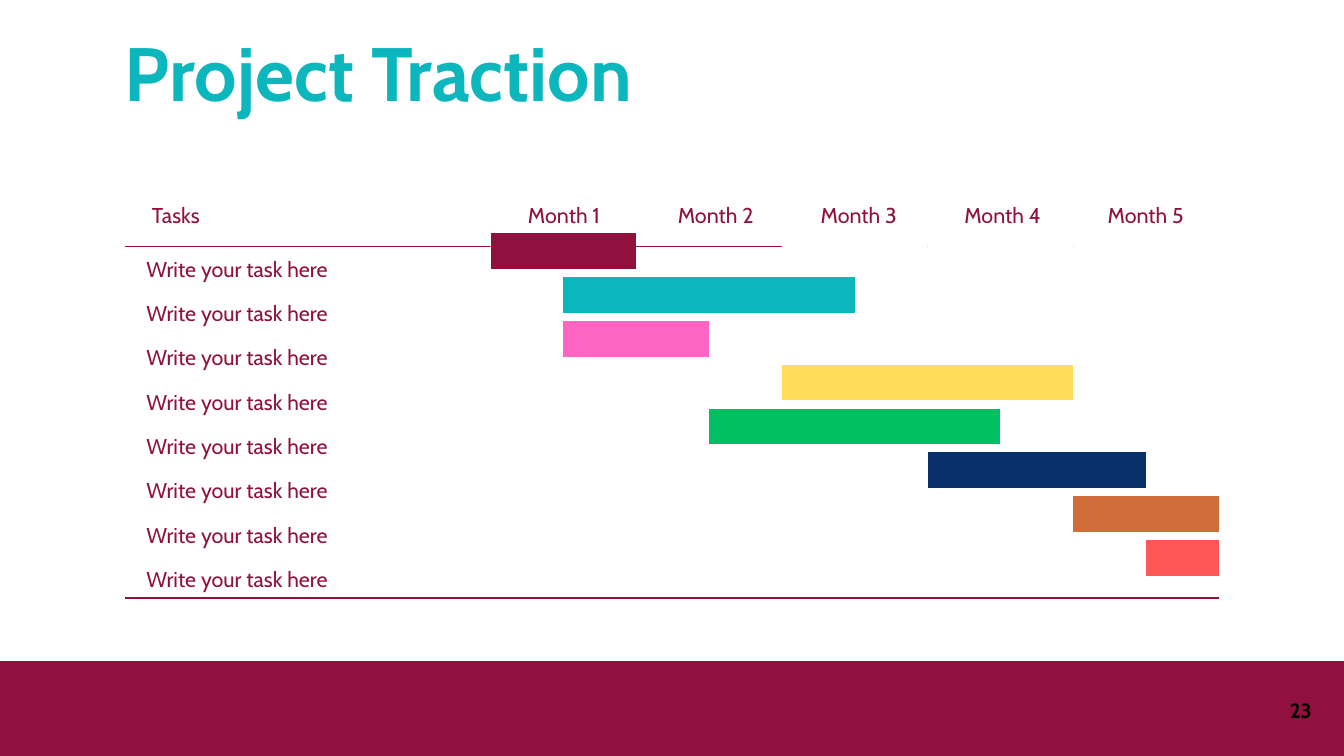
from dataclasses import dataclass

from lxml import etree
from pptx import Presentation
from pptx.dml.color import RGBColor
from pptx.enum import shapes, text
from pptx.oxml import ns
from pptx.util import Pt


@dataclass(frozen=True)
class Theme:
    """Colours, font and type sizes of the slide."""
    font: str = "Cabin"
    wine: str = "90113E"
    teal: str = "0BB6BC"
    white: str = "FFFFFF"
    black: str = "000000"
    title_size: float = 81
    label_size: float = 23
    number_size: float = 22
    label_leading: float = 32.2
    rule_width: float = 1.5
    bar_width: float = 38.25


THEME = Theme()
MONTHS = [("Month 1", 604.4), ("Month 2", 766.8), ("Month 3", 920.2),
          ("Month 4", 1074.2), ("Month 5", 1227.6)]
BLANK_MONTHS = (0, 2, 3, 4)
TASKS = [
    ("Write your task here", 0, 2, THEME.wine),
    ("Write your task here", 1, 5, THEME.teal),
    ("Write your task here", 1, 3, "FF66C4"),
    ("Write your task here", 4, 8, "FFDE59"),
    ("Write your task here", 3, 7, "00BF63"),
    ("Write your task here", 6, 9, "083169"),
    ("Write your task here", 8, 10, "CF6E38"),
    ("Write your task here", 9, 10, "FF5757"),
]


def apply(target, **values):
    """Set each named value on the target."""
    for name, value in values.items():
        setattr(target, name, value)


def place(part, box):
    """Move and size a part to a box given in points."""
    apply(part, **dict(zip(("left", "top", "width", "height"), map(Pt, box))))


def write(part, lines, size, leading, color=THEME.wine, bold=False,
          align=text.PP_ALIGN.LEFT, gap=0):
    """Fill a part with formatted paragraphs."""
    frame = part.text_frame
    apply(frame, text="\n".join(lines), word_wrap=True,
          auto_size=text.MSO_AUTO_SIZE.NONE,
          vertical_anchor=text.MSO_ANCHOR.TOP,
          margin_left=0, margin_top=0, margin_right=0, margin_bottom=0)
    for paragraph in frame.paragraphs:
        apply(paragraph, alignment=align, line_spacing=Pt(leading),
              space_before=Pt(0), space_after=Pt(gap))
        for run in paragraph.runs:
            apply(run.font, name=THEME.font, size=Pt(size), bold=bold)
            run.font.color.rgb = RGBColor.from_string(color)


def add_label(slide, box, words, size=THEME.label_size,
              leading=THEME.label_leading, **format_values):
    """Add a one-line text box."""
    label = slide.shapes.add_textbox(*map(Pt, box))
    write(label, [words], size, leading, **format_values)


def add_block(slide, box, color):
    """Add a plain filled rectangle."""
    block = slide.shapes.add_shape(shapes.MSO_SHAPE.RECTANGLE, *map(Pt, box))
    block.shadow.inherit = False
    block.fill.solid()
    block.fill.fore_color.rgb = RGBColor.from_string(color)
    block.line.fill.background()


def add_stroke(slide, start, end, y, color, width):
    """Add a horizontal line without a shadow."""
    stroke = slide.shapes.add_connector(
        shapes.MSO_CONNECTOR.STRAIGHT, *map(Pt, (start, y, end, y)))
    stroke.line.width = Pt(width)
    stroke.line.color.rgb = RGBColor.from_string(color)
    etree.SubElement(stroke._element.spPr, ns.qn("a:effectLst"))


def add_title(slide, box):
    """Place the slide title."""
    title = slide.shapes.title
    place(title, box)
    write(title, ["Project Traction"], THEME.title_size, 97.2,
          color=THEME.teal, bold=True)


def add_header(slide, box, month_left, month_width):
    """Place the column headings above the bars."""
    left, top, width, height = box
    for month in BLANK_MONTHS:
        add_block(slide, (month_left + month * month_width, top,
                          month_width, height), THEME.white)
    add_label(slide, (left + 28.8, top + 18, 344, 31), "Tasks")
    for month, center in MONTHS:
        add_label(slide, (center - 52, top + 18, 104, 31), month,
                  align=text.PP_ALIGN.CENTER)


def add_task_list(slide, box):
    """Place the task names in the body placeholder at an even pitch."""
    task_list = slide.placeholders[1]
    place(task_list, box)
    pitch = box[3] / len(TASKS)
    write(task_list, [task[0] for task in TASKS], THEME.label_size,
          THEME.label_leading, gap=pitch - THEME.label_leading)
    for paragraph in task_list.text_frame.paragraphs:
        properties = paragraph._p.get_or_add_pPr()
        properties.set("marL", "0")
        properties.set("indent", "0")
        etree.SubElement(properties, ns.qn("a:buNone"))


def add_bars(slide, left, first_y, half_month, pitch=46.9):
    """Draw one bar for each task, measured in half months."""
    for row, (_, start, end, color) in enumerate(TASKS):
        add_stroke(slide, left + start * half_month, left + end * half_month,
                   first_y + row * pitch, color, THEME.bar_width)


def add_schedule(slide, box):
    """Place the whole schedule: rules, headings, tasks and bars."""
    left, top, width, height = box
    month_left = left + 391.7
    month_width = (left + width - month_left) / len(MONTHS)
    for y in (top + 69.8, top + height):
        add_stroke(slide, left, left + width, y, THEME.wine, THEME.rule_width)
    add_header(slide, (left, top, width, 70.5), month_left, month_width)
    add_task_list(slide, (left + 23, top + 74.9, 350, 380.2))
    add_bars(slide, month_left, top + 74.9, month_width / 2)


def add_footer(slide, box):
    """Place the footer band and the page number."""
    left, top, width, height = box
    add_block(slide, box, THEME.wine)
    add_label(slide, (left + width - 97.2, top + 38.2, 62.6, 27.4), "23",
              THEME.number_size, 27.5, color=THEME.black, bold=True,
              align=text.PP_ALIGN.RIGHT)


def main():
    """Build and save the slide."""
    deck = Presentation()
    apply(deck, slide_width=Pt(1440), slide_height=Pt(810))
    slide = deck.slides.add_slide(deck.slide_layouts[1])
    add_schedule(slide, (133.9, 194.4, 1172.2, 446.4))
    add_title(slide, (133.9, 27.4, 1160, 97.2))
    add_footer(slide, (-47.5, 708.5, 1487.5, 203.8))
    deck.save("out.pptx")


if __name__ == "__main__":
    main()
